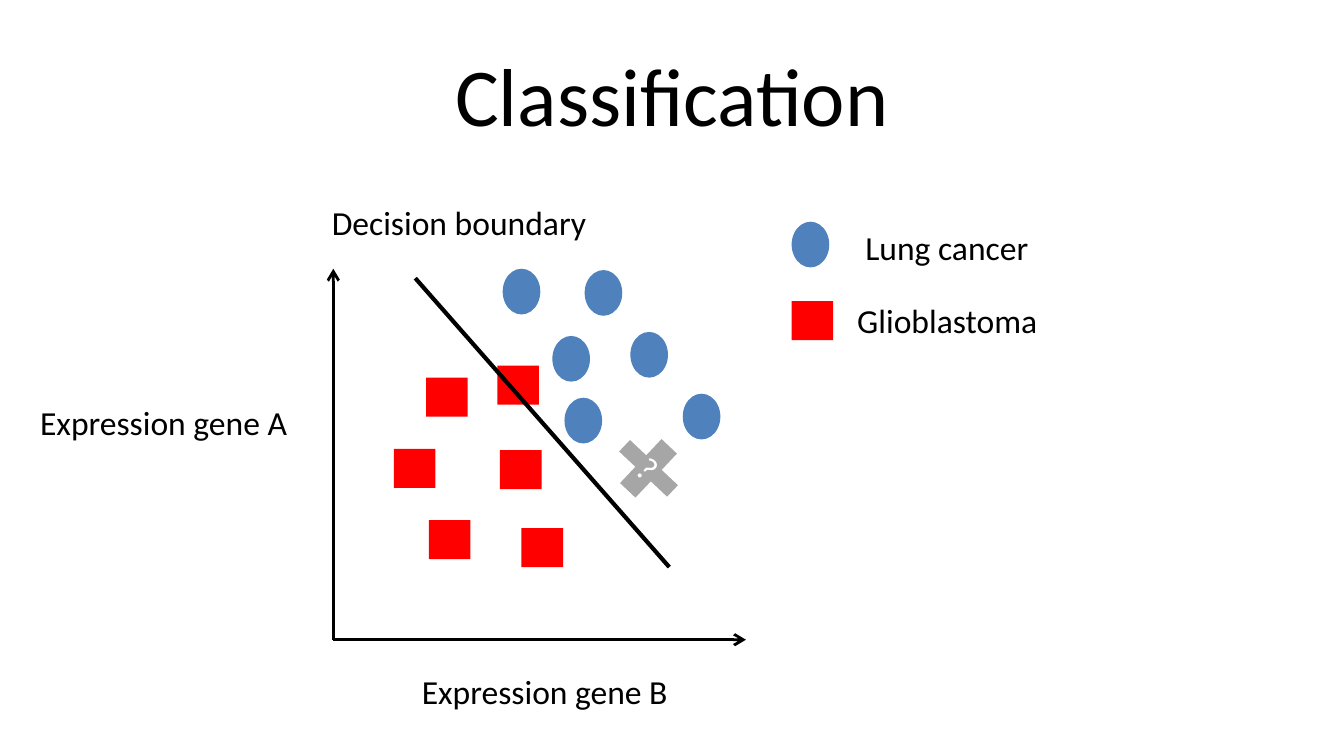
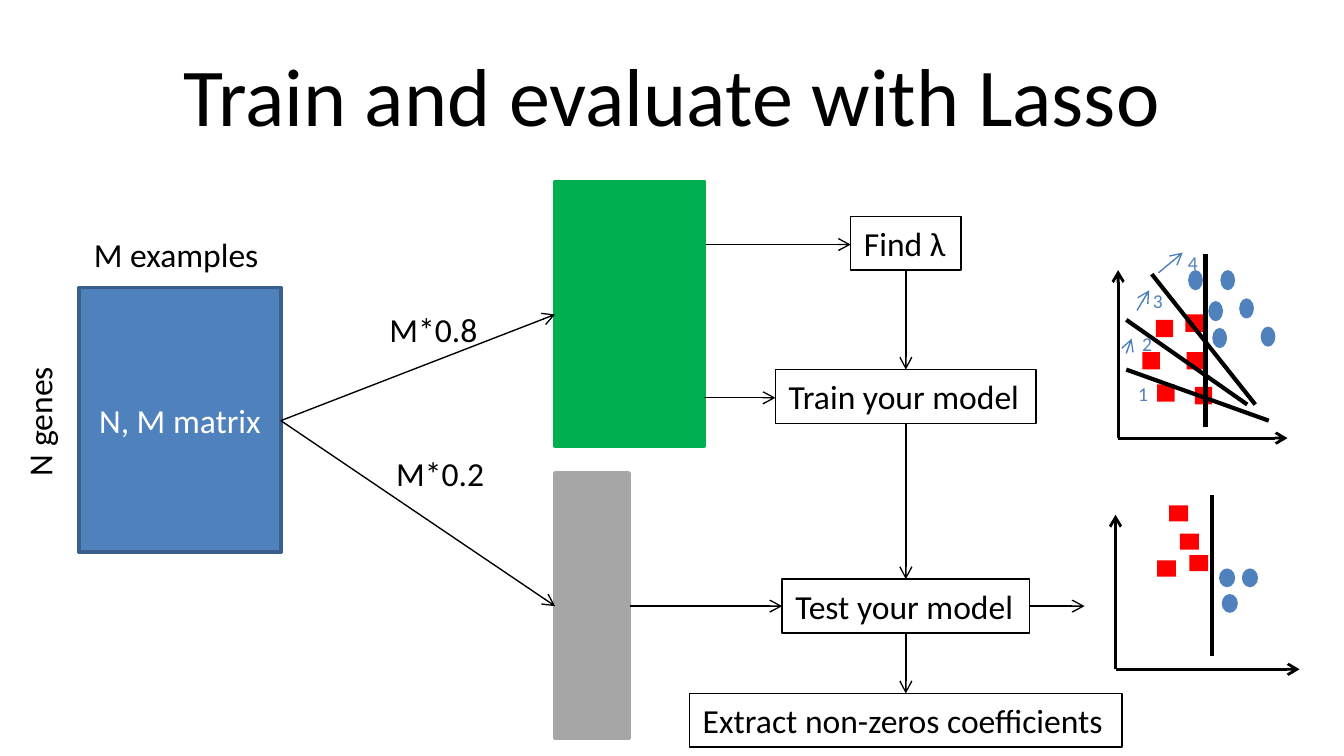
import pptx
import pptx.util
import pptx.dml.color
import pptx.enum.shapes
import pptx.enum.text
import pptx.oxml
import pptx.oxml.ns
import lxml.etree

FONT = "Calibri"
BLACK, WHITE = "000000", "FFFFFF"
BLUE, RED, GREEN, GRAY = "4F81BD", "FF0000", "00B050", "A6A6A6"
NAVY, STEEL = "3A5F8C", "4B7EBC"
THIN, AXIS, THICK = 0.75, 1.5, 2.25
Inches = pptx.util.Inches
MSO = pptx.enum.shapes.MSO_SHAPE
ALIGN = pptx.enum.text.PP_ALIGN
ANCHOR = pptx.enum.text.MSO_ANCHOR
AUTO = pptx.enum.text.MSO_AUTO_SIZE


def rgb(color):
    """Turn a hex string into a colour."""
    return pptx.dml.color.RGBColor.from_string(color)


def write(tf, text, size=18, color=BLACK, align=ALIGN.LEFT):
    """Put one formatted run in the first paragraph."""
    p = tf.paragraphs[0]
    p.alignment = align
    r = p.add_run()
    r.text = text
    r.font.name = FONT
    r.font.size = pptx.util.Pt(size)
    r.font.color.rgb = rgb(color)


def fit(tf):
    """Let a frame hug its unwrapped text."""
    tf.word_wrap = False
    tf.auto_size = AUTO.SHAPE_TO_FIT_TEXT


def add_slide(prs, title):
    """Add a slide with the shared title style."""
    s = prs.slides.add_slide(prs.slide_layouts[5])
    sp = s.shapes.title
    sp.left, sp.top = Inches(0.5), Inches(0.23)
    sp.width, sp.height = Inches(9), Inches(0.94)
    sp.text_frame.vertical_anchor = ANCHOR.MIDDLE
    write(sp.text_frame, title, 44, align=ALIGN.CENTER)
    return s


def add_label(shapes, text, x, y, w, h=0.4, size=18, color=BLACK, rotation=0):
    """Add an unwrapped text box."""
    sp = shapes.add_textbox(Inches(x), Inches(y), Inches(w), Inches(h))
    sp.rotation = rotation
    fit(sp.text_frame)
    write(sp.text_frame, text, size, color)


def add_block(shapes, kind, x, y, w, h, fill=None, line=None, width=2, text=None):
    """Add a flat preset shape, with centred white text if given."""
    sp = shapes.add_shape(kind, Inches(x), Inches(y), Inches(w), Inches(h))
    sp.shadow.inherit = False
    if fill:
        sp.fill.solid()
        sp.fill.fore_color.rgb = rgb(fill)
    else:
        sp.fill.background()
    if line:
        sp.line.color.rgb = rgb(line)
        sp.line.width = pptx.util.Pt(width)
    else:
        sp.line.fill.background()
    if text:
        sp.text_frame.vertical_anchor = ANCHOR.MIDDLE
        write(sp.text_frame, text, color=WHITE, align=ALIGN.CENTER)
    return sp


def add_step(shapes, text, x, y, w):
    """Add an outlined flowchart step."""
    sp = add_block(shapes, MSO.RECTANGLE, x, y, w, 0.4, line=BLACK, width=THIN)
    sp.text_frame.vertical_anchor = ANCHOR.TOP
    fit(sp.text_frame)
    write(sp.text_frame, text)


def add_line(shapes, start, end, width=THIN, color=BLACK, arrow=False):
    """Add a straight line, optionally with an arrowhead at its end."""
    points = [Inches(v) for v in (*start, *end)]
    sp = shapes.add_connector(pptx.enum.shapes.MSO_CONNECTOR.STRAIGHT, *points)
    sp.line.color.rgb = rgb(color)
    sp.line.width = pptx.util.Pt(width)
    qn = pptx.oxml.ns.qn
    if arrow:
        lxml.etree.SubElement(sp.line._get_or_add_ln(), qn("a:tailEnd"), type="arrow")
    lxml.etree.SubElement(sp._element.spPr, qn("a:effectLst"))


def add_scatter(s, origin, top, right, squares, square_size, dots, dot_size, boundaries):
    """Group axes, two classes of points and boundary lines."""
    shapes = s.shapes.add_group_shape().shapes
    for end in ((origin[0], top), (right, origin[1])):
        add_line(shapes, origin, end, AXIS, arrow=True)
    for x, y in squares:
        add_block(shapes, MSO.RECTANGLE, x, y, *square_size, RED)
    for x, y in dots:
        add_block(shapes, MSO.OVAL, x, y, *dot_size, BLUE)
    for start, end in boundaries:
        add_line(shapes, start, end, THICK)
    return shapes


def build_classification(prs):
    """Build the slide with the labelled scatter and its legend."""
    s = add_slide(prs, "Classification")
    square, dot = (0.31, 0.29), (0.28, 0.34)
    add_label(s.shapes, "Expression gene A", 0.2, 2.94, 2.06)
    add_label(s.shapes, "Expression gene B", 3.04, 4.94, 2.06)
    add_label(s.shapes, "Decision boundary", 2.37, 1.45, 2.12)
    add_block(s.shapes, MSO.OVAL, 5.89, 1.65, *dot, BLUE)
    add_block(s.shapes, MSO.RECTANGLE, 5.89, 2.24, *square, RED)
    add_label(s.shapes, "Lung cancer", 6.34, 1.64, 1.49)
    add_label(s.shapes, "Glioblastoma", 6.28, 2.18, 1.61)
    squares = [(3.7, 2.72), (3.19, 3.87), (3.17, 2.81), (2.93, 3.34), (3.72, 3.35), (3.88, 3.93)]
    dots = [(3.74, 2), (4.11, 2.5), (4.35, 2.01), (5.08, 2.93), (4.69, 2.47), (4.2, 2.96)]
    plot = add_scatter(s, (2.48, 4.76), 2, 5.55, squares, square, dots, dot,
                       [((3.09, 2.07), (4.98, 4.22))])
    unknown = add_block(plot, MSO.CROSS, 4.58, 3.26, 0.49, 0.45, GRAY, text="?")
    unknown.adjustments[0] = 0.37
    unknown.rotation = 43.3


def build_training_plots(s):
    """Add the scatter for training and the one for testing."""
    squares = [(8.82, 2.34), (8.61, 2.86), (8.6, 2.38), (8.5, 2.62), (8.83, 2.62), (8.89, 2.88)]
    dots = [(8.84, 2.01), (8.99, 2.24), (9.08, 2.01), (9.38, 2.43), (9.22, 2.22), (9.02, 2.44)]
    boundaries = [((8.57, 2.04), (9.34, 3.01)), ((8.38, 2.75), (9.44, 3.13)),
                  ((8.38, 2.38), (9.28, 3.01)), ((8.97, 1.89), (8.97, 3.18))]
    plot = add_scatter(s, (8.32, 3.26), 2.01, 9.58, squares, (0.13, 0.13),
                       dots, (0.11, 0.15), boundaries)
    moves = [((8.38, 2.63), (8.42, 2.52)), ((8.46, 2.31), (8.55, 2.16)), ((8.62, 2.03), (8.8, 1.88))]
    for start, end in moves:
        add_line(plot, start, end, color=STEEL, arrow=True)
    for n, (x, y) in enumerate([(8.37, 2.79), (8.4, 2.42), (8.48, 2.1), (8.74, 1.82)], 1):
        add_label(plot, str(n), x, y, 0.28, 0.29, 10.5, BLUE)

    add_scatter(s, (8.3, 4.98), 3.83, 9.67,
                [(8.78, 3.97), (8.85, 4.13), (8.61, 4.17), (8.7, 3.76)], (0.14, 0.12),
                [(9.07, 4.23), (9.24, 4.23), (9.09, 4.42)], (0.12, 0.14),
                [((9.02, 3.68), (9.02, 4.88))])


def build_lasso(prs):
    """Build the slide with the training and testing flow."""
    s = add_slide(prs, "Train and evaluate with Lasso")
    h = 1.97
    add_block(s.shapes, MSO.RECTANGLE, 0.59, 2.14, 1.5, h, BLUE, NAVY, text="N, M matrix")
    add_block(s.shapes, MSO.RECTANGLE, 4.13, 1.35, 1.11, h, GREEN, GREEN)
    add_block(s.shapes, MSO.RECTANGLE, 4.13, 3.52, 0.55, h, GRAY, GRAY)
    add_label(s.shapes, "N genes", -0.22, 2.93, 1.02, rotation=270)
    add_label(s.shapes, "M examples", 0.6, 1.69, 1.44)
    add_label(s.shapes, "M*0.8", 2.8, 2.25, 0.86)
    add_label(s.shapes, "M*0.2", 2.85, 3.32, 0.86)
    steps = [("Find λ", 6.33, 1.61, 0.82), ("Train your model", 5.77, 2.75, 1.94),
             ("Test your model", 5.82, 4.31, 1.84),
             ("Extract non-zeros coefficients", 5.13, 5.16, 3.22)]
    for step in steps:
        add_step(s.shapes, *step)
    middle = 6.74
    for (_, _, y, _), (_, _, below, _) in zip(steps, steps[1:]):
        add_line(s.shapes, (middle, y + 0.4), (middle, below), arrow=True)
    for end in ((4.13, 2.34), (4.13, 4.51)):
        add_line(s.shapes, (2.09, 3.13), end, arrow=True)
    for x1, x2, y in [(5.25, 6.33, 1.82), (5.24, 5.77, 2.96), (4.69, 5.82, 4.51), (7.66, 8.07, 4.51)]:
        add_line(s.shapes, (x1, y), (x2, y), arrow=True)
    build_training_plots(s)


def main():
    """Build and save the presentation."""
    prs = pptx.Presentation()
    prs.slide_width = Inches(10)
    prs.slide_height = prs.slide_width * 9 // 16
    build_classification(prs)
    build_lasso(prs)
    prs.save("out.pptx")


if __name__ == "__main__":
    main()
